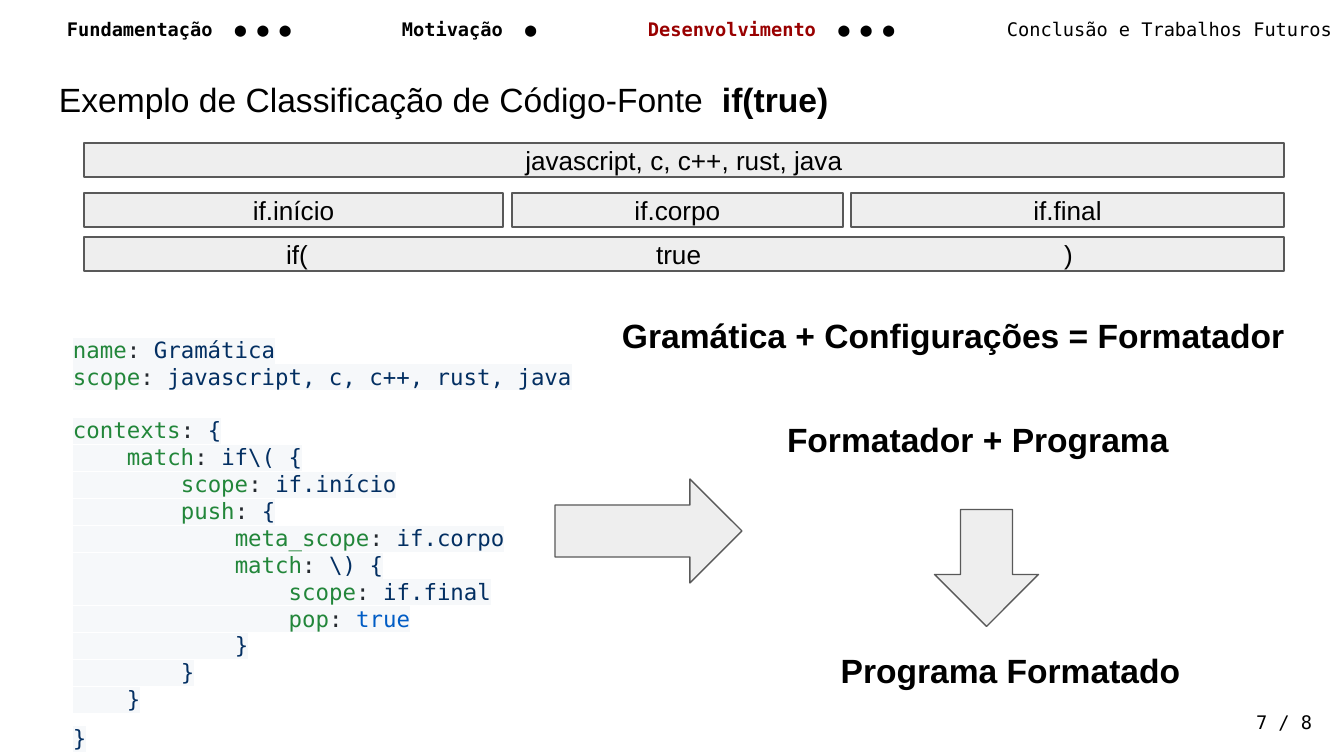
from lxml.etree import SubElement
from pptx import Presentation
from pptx.dml.color import RGBColor
from pptx.enum.shapes import MSO_SHAPE as Shape
from pptx.enum.text import MSO_ANCHOR as Anchor, PP_ALIGN as Align
from pptx.oxml import parse_xml
from pptx.oxml.ns import nsdecls, qn
from pptx.util import Emu, Pt

SANS, MONO = "Arial", "DejaVu Sans Mono"
BLACK, RED = "000000", "990000"
FILL, LINE = "EEEEEE", "595959"
KEY, PLAIN, VALUE, LITERAL = "22863A", "24292E", "032F62", "005CC5"
CODE_BACK = "F6F8FA"


def px(n):
    return Emu(round(n * 914400 / 134.4))


def rgb(color):
    return RGBColor.from_string(color)


def set_tabs(p, stops):
    """Add left tab stops, in px from the text edge."""
    tabs = SubElement(p._p.get_or_add_pPr(), qn("a:tabLst"))
    for stop in stops:
        SubElement(tabs, qn("a:tab"), pos=str(px(stop)), algn="l")


def highlight(r, color):
    mark = parse_xml(f'<a:highlight {nsdecls("a")}><a:srgbClr val="{color}"/></a:highlight>')
    r._r.get_or_add_rPr().find(qn("a:solidFill")).addnext(mark)


class Deck:
    """Holds the presentation, its style and the current slide."""

    def __init__(self):
        self.prs = Presentation()
        self.prs.slide_width, self.prs.slide_height = px(1344), px(756)
        self.s = self.prs.slides.add_slide(self.prs.slide_layouts[6])

    def style(self, r, size, font=SANS, color=BLACK, bold=False):
        r.font.size, r.font.name, r.font.bold = Pt(size), font, bold
        r.font.color.rgb = rgb(color)

    def pad(self, tf):
        tf.word_wrap = True
        tf.margin_left = tf.margin_right = tf.margin_top = tf.margin_bottom = px(13)

    def text(self, box, runs, size, font=SANS, align=Align.LEFT):
        """Write one paragraph from (text, color, bold) runs."""
        tf = self.s.shapes.add_textbox(*map(px, box)).text_frame
        self.pad(tf)
        p = tf.paragraphs[0]
        p.alignment = align
        for words, color, bold in runs:
            r = p.add_run()
            r.text = words
            self.style(r, size, font, color, bold)
        return p

    def shape(self, kind, box):
        sp = self.s.shapes.add_shape(kind, *map(px, box))
        sp.shadow.inherit = False
        sp.fill.solid()
        sp.fill.fore_color.rgb = rgb(FILL)
        sp.line.color.rgb = rgb(LINE)
        sp.line.width = Pt(0.75)
        return sp

    def bar(self, left, top, width, label, tabs=()):
        tf = self.shape(Shape.RECTANGLE, (left, top, width, 34)).text_frame
        self.pad(tf)
        tf.vertical_anchor = Anchor.MIDDLE
        p = tf.paragraphs[0]
        p.text = label
        p.alignment = Align.LEFT if tabs else Align.CENTER
        if tabs:
            set_tabs(p, tabs)
        self.style(p.runs[0], 14)

    def arrow(self, box, rotation=0):
        self.shape(Shape.RIGHT_ARROW, box).rotation = rotation

    def code(self, box, lines):
        """Write (depth, key, value) lines; a None line is a one-line gap."""
        tf = self.s.shapes.add_textbox(*map(px, box)).text_frame
        self.pad(tf)
        p, gap = tf.paragraphs[0], False
        for i, line in enumerate(lines):
            if line is None:
                gap = True
                continue
            if i:
                p = tf.add_paragraph()
            if gap:
                p.space_before, gap = Pt(14.4), False
            depth, key, value = line
            parts = [("    " * depth, PLAIN), (key, KEY), (": " if key else "", PLAIN),
                     (value, LITERAL if value == "true" else VALUE)]
            for words, color in parts:
                if words:
                    r = p.add_run()
                    r.text = words
                    self.style(r, 12, MONO, color)
                    highlight(r, CODE_BACK)
        p.line_spacing = 1.45


GRAMMAR = [
    (0, "name", "Gramática"),
    (0, "scope", "javascript, c, c++, rust, java"),
    None,
    (0, "contexts", "{"),
    (1, "match", r"if\( {"),
    (2, "scope", "if.início"),
    (2, "push", "{"),
    (3, "meta_scope", "if.corpo"),
    (3, "match", r"\) {"),
    (4, "scope", "if.final"),
    (4, "pop", "true"),
    *((depth, "", "}") for depth in (3, 2, 1, 0)),
]


def main():
    deck = Deck()
    deck.text((46, 66, 1253, 55), [("Exemplo de Classificação de Código-Fonte  ", BLACK, False),
                                   ("if(true)", BLACK, True)], 18)
    deck.code((60, 323, 1224, 427), GRAMMAR)

    nav = deck.text((54, 7, 1328, 55), [
        ("Fundamentação", BLACK, True), ("  ● ● ●\t", BLACK, False),
        ("Motivação", BLACK, True), ("  ●\t", BLACK, False),
        ("Desenvolvimento", RED, True), ("  ● ● ●\t", BLACK, False),
        ("Conclusão e Trabalhos Futuros", BLACK, False)], 10, MONO)
    set_tabs(nav, (335, 581, 940))
    deck.text((1243, 700, 92, 39), [("7 / 8", BLACK, False)], 10, MONO)

    for box, words, align in [
            ((609, 302, 708, 91), "Gramática + Configurações = Formatador", Align.LEFT),
            ((774, 406, 426, 91), "Formatador + Programa", Align.LEFT),
            ((813, 637, 395, 91), "Programa Formatado", Align.CENTER)]:
        deck.text(box, [(words, BLACK, True)], 18, align=align)

    deck.arrow((555, 479, 187, 104))
    deck.arrow((928, 516, 117, 104), rotation=90)

    deck.bar(84, 143, 1200, "javascript, c, c++, rust, java")
    for left, width, label in [(84, 419, "if.início"), (512, 331, "if.corpo"),
                               (851, 433, "if.final")]:
        deck.bar(left, 193, width, label)
    deck.bar(84, 237, 1200, "\tif(\ttrue\t)", tabs=(189, 559, 967))

    deck.prs.save("out.pptx")


if __name__ == "__main__":
    main()
